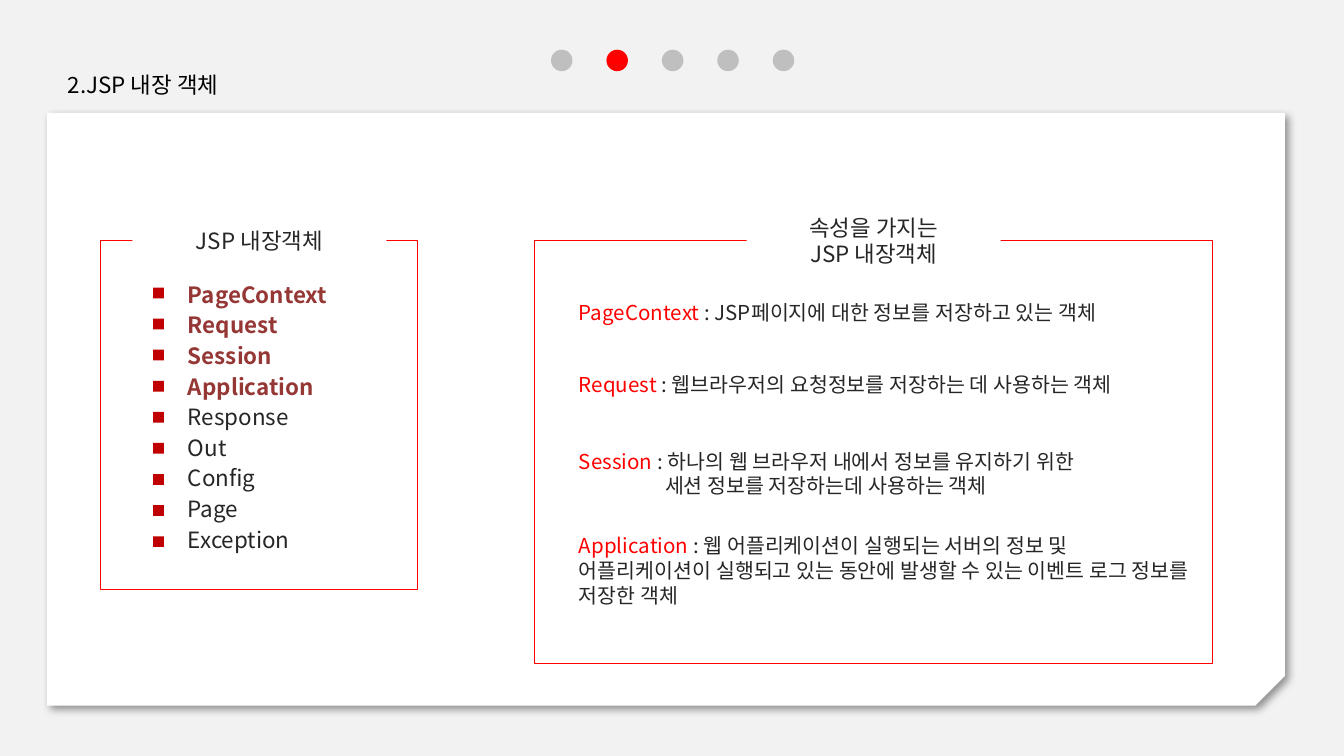
"""Build the slide on JSP implicit objects."""
from lxml.etree import SubElement
from pptx import Presentation
from pptx.dml.color import RGBColor
from pptx.enum.shapes import MSO_SHAPE
from pptx.enum.text import MSO_ANCHOR, PP_ALIGN
from pptx.oxml.ns import qn
from pptx.util import Inches, Pt

FONT = "Noto Sans CJK KR"
BACKGROUND = RGBColor(0xF2, 0xF2, 0xF2)
WHITE = RGBColor(0xFF, 0xFF, 0xFF)
BLACK = RGBColor(0, 0, 0)
INK = RGBColor(0x26, 0x26, 0x26)
RED = RGBColor(0xFF, 0, 0)
DARK_RED = RGBColor(0xC0, 0, 0)
BROWN = RGBColor(0x95, 0x37, 0x35)
GREY = RGBColor(0xBF, 0xBF, 0xBF)

TITLE = "2.JSP 내장 객체"
SCOPED = ["PageContext", "Request", "Session", "Application"]
OTHERS = ["Response", "Out", "Config", "Page", "Exception"]
PANELS = [
    (["JSP 내장객체"], (0.75, 1.79, 2.36, 2.6), 0.31),
    (["속성을 가지는", "JSP 내장객체"], (3.98, 1.79, 5.04, 3.15), 0.47),
]
DEFINITIONS = [
    (2.18, 0.29, ["JSP페이지에 대한 정보를 저장하고 있는 객체"]),
    (2.72, 0.29, ["웹브라우저의 요청정보를 저장하는 데 사용하는 객체"]),
    (3.29, 0.47, ["하나의 웹 브라우저 내에서 정보를 유지하기 위한",
                  "세션 정보를 저장하는데 사용하는 객체"]),
    (3.92, 0.66, ["웹 어플리케이션이 실행되는 서버의 정보 및 어플리케이션이 실행되고 있는 "
                  "동안에 발생할 수 있는 이벤트 로그 정보를 저장한 객체"]),
]
SLIDE_WIDTH = 10
SLIDE_HEIGHT = SLIDE_WIDTH * 9 / 16
HEADING_WIDTH = 1.89
CONTINUATION_INDENT = 0.64
DOT_COUNT, CURRENT_DOT = 5, 1
DOT_SIZE, DOT_SPAN = 0.16, 1.65
MARK_SIZE, MARK_SPAN = 0.08, 1.85

deck = Presentation()
deck.slide_width, deck.slide_height = Inches(SLIDE_WIDTH), Inches(SLIDE_HEIGHT)
slide = deck.slides.add_slide(deck.slide_layouts[6])
slide.background.fill.solid()
slide.background.fill.fore_color.rgb = BACKGROUND


def add_box(kind, place, fill=None, line=None):
    box = slide.shapes.add_shape(kind, *map(Inches, place))
    box.shadow.inherit = False
    if fill is None:
        box.fill.background()
    else:
        box.fill.solid()
        box.fill.fore_color.rgb = fill
    if line is None:
        box.line.fill.background()
    else:
        box.line.color.rgb = line
        box.line.width = Pt(0.5)
    return box


def write(holder, paragraphs, size=12, align=PP_ALIGN.LEFT, gap=0,
          anchor=MSO_ANCHOR.TOP, indent=0):
    """Write paragraphs, each a list of (text, colour, bold) runs."""
    frame = holder.text_frame
    frame.word_wrap = True
    frame.vertical_anchor = anchor
    for index, runs in enumerate(paragraphs):
        paragraph = frame.add_paragraph() if index else frame.paragraphs[0]
        paragraph.alignment = align
        if index and gap:
            paragraph.space_before = Pt(gap)
        if index and indent:
            paragraph._p.get_or_add_pPr().set("marL", str(Inches(indent)))
        for text, colour, bold in runs:
            run = paragraph.add_run()
            run.text = text
            run.font.name, run.font.size = FONT, Pt(size)
            run.font.color.rgb, run.font.bold = colour, bold
            SubElement(run._r.get_or_add_rPr(), qn("a:ea"), typeface=FONT)


def add_text(place, paragraphs, **style):
    write(slide.shapes.add_textbox(*map(Inches, place)), paragraphs, **style)


def add_card():
    card = add_box(MSO_SHAPE.SNIP_1_RECTANGLE, (0.35, 0.84, 9.21, 4.41), WHITE)
    card.adjustments[0] = 0.05
    card.rotation = 180
    properties = card._element.spPr
    properties.find(qn("a:xfrm")).set("flipH", "1")
    shadow = SubElement(properties.find(qn("a:effectLst")), qn("a:outerShdw"),
                        blurRad=str(Pt(4)), dist=str(Pt(3)), dir=str(45 * 60000),
                        algn="tl", rotWithShape="0")
    colour = SubElement(shadow, qn("a:srgbClr"), val=str(BLACK))
    SubElement(colour, qn("a:alpha"), val="40000")


add_card()
for heading, frame_place, height in PANELS:
    left, top, width, _ = frame_place
    add_box(MSO_SHAPE.RECTANGLE, frame_place, line=RED)
    heading_place = (left + (width - HEADING_WIDTH) / 2, top - height / 2,
                     HEADING_WIDTH, height)
    write(add_box(MSO_SHAPE.RECTANGLE, heading_place, WHITE),
          [[(text, INK, False)] for text in heading],
          align=PP_ALIGN.CENTER, anchor=MSO_ANCHOR.MIDDLE)

add_text((1.3, 2.04, 2.05, 2.13),
         [[(name, BROWN, True)] for name in SCOPED]
         + [[(name, INK, False)] for name in OTHERS], gap=2)
mark_pitch = MARK_SPAN / (len(SCOPED + OTHERS) - 1)
for row in range(len(SCOPED + OTHERS)):
    add_box(MSO_SHAPE.RECTANGLE,
            (1.14, 2.14 + row * mark_pitch, MARK_SIZE, MARK_SIZE), DARK_RED)

for name, (top, height, (meaning, *rest)) in zip(SCOPED, DEFINITIONS):
    add_text((4.21, top, 4.84, height),
             [[(name, RED, False), (f" : {meaning}", INK, False)]]
             + [[(text, INK, False)] for text in rest],
             size=11, indent=CONTINUATION_INDENT)

add_text((0.28, 0.48, 1.57, 0.3), [[(TITLE, BLACK, False)]], align=PP_ALIGN.CENTER)
dot_pitch = DOT_SPAN / (DOT_COUNT - 1)
for column in range(DOT_COUNT):
    add_box(MSO_SHAPE.OVAL, (4.1 + column * dot_pitch, 0.37, DOT_SIZE, DOT_SIZE),
            RED if column == CURRENT_DOT else GREY)

deck.save("out.pptx")
